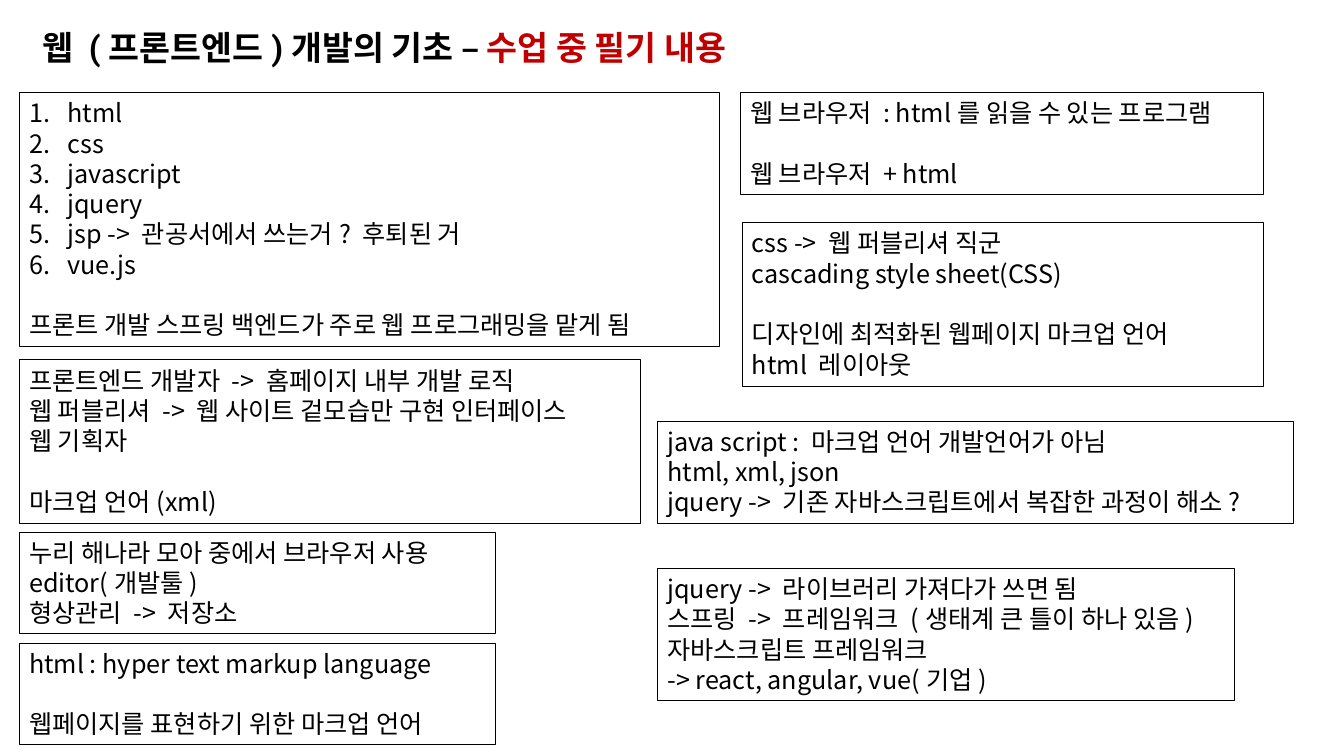
import pptx
import pptx.dml.color
import pptx.enum.text
import pptx.oxml.ns
import pptx.util
from lxml import etree
from pptx.util import Inches, Pt

KOREAN_FONT = "Noto Sans CJK KR"
LATIN_FONT = "Roboto"
BLACK = "000000"
RED = "C00000"
BLOCK_GAP = 21.7  # one line of 18 pt text

# (text, font, colour)
TITLE_RUNS = [
    ("웹 ", KOREAN_FONT, BLACK),
    ("(", LATIN_FONT, BLACK),
    ("프론트엔드", KOREAN_FONT, BLACK),
    (")", LATIN_FONT, BLACK),
    ("개발의 기초 – ", KOREAN_FONT, BLACK),
    ("수업 중 필기 내용", KOREAN_FONT, RED),
]

TECHNOLOGIES = ["html", "css", "javascript", "jquery",
                "jsp -> 관공서에서 쓰는거? 후퇴된 거", "vue.js"]

# (left, top, width, height), blocks of lines set apart by a gap
NOTES = [
    ((0.19, 0.92, 6.95, 2.52), [
        TECHNOLOGIES,
        ["프론트 개발 스프링 백엔드가 주로 웹 프로그래밍을 맡게 됨"]]),
    ((0.19, 3.57, 6.16, 1.62), [
        ["프론트엔드 개발자 -> 홈페이지 내부 개발 로직",
         "웹 퍼블리셔 -> 웹 사이트 겉모습만 구현 인터페이스",
         "웹 기획자"],
        ["마크업 언어(xml)"]]),
    ((0.19, 5.28, 4.72, 1.01), [
        ["누리 해나라 모아 중에서 브라우저 사용",
         "editor(개발툴)",
         "형상관리 -> 저장소"]]),
    ((0.19, 6.38, 4.72, 1.01), [
        ["html : hyper text markup language"],
        ["웹페이지를 표현하기 위한 마크업 언어"]]),
    ((7.34, 0.92, 5.19, 1.01), [
        ["웹 브라우저 : html를 읽을 수 있는 프로그램"],
        ["웹 브라우저 + html"]]),
    ((7.36, 2.21, 5.17, 1.62), [
        ["css -> 웹 퍼블리셔 직군",
         "cascading style sheet(CSS)"],
        ["디자인에 최적화된 웹페이지 마크업 언어",
         "html 레이아웃"]]),
    ((6.52, 4.18, 6.31, 1.01), [
        ["java script : 마크업 언어 개발언어가 아님",
         "html, xml, json",
         "jquery -> 기존 자바스크립트에서 복잡한 과정이 해소?"]]),
    ((6.52, 5.64, 5.72, 1.31), [
        ["jquery -> 라이브러리 가져다가 쓰면 됨",
         "스프링 -> 프레임워크 (생태계 큰 틀이 하나 있음)",
         "자바스크립트 프레임워크",
         "-> react, angular, vue(기업)"]]),
]


def color(hex_value):
    return pptx.dml.color.RGBColor.from_string(hex_value)


def add_run(paragraph, text, size=18, font=KOREAN_FONT, fill=BLACK, bold=False):
    run = paragraph.add_run()
    run.text = text
    run.font.size = Pt(size)
    run.font.bold = bold
    run.font.color.rgb = color(fill)
    run.font.name = font
    east_asian = etree.SubElement(run.font._element, pptx.oxml.ns.qn("a:ea"))
    east_asian.set("typeface", font)


def number_paragraph(paragraph):
    """Give the paragraph an automatic number and a hanging indent."""
    properties = paragraph._p.get_or_add_pPr()
    properties.set("marL", str(Inches(0.38)))
    properties.set("indent", str(-Inches(0.38)))
    number = etree.SubElement(properties, pptx.oxml.ns.qn("a:buAutoNum"))
    number.set("type", "arabicPeriod")


def add_box(slide, place, wrap=True):
    shape = slide.shapes.add_textbox(*map(Inches, place))
    shape.text_frame.word_wrap = wrap
    shape.text_frame.auto_size = pptx.enum.text.MSO_AUTO_SIZE.SHAPE_TO_FIT_TEXT
    return shape


def add_note(slide, place, blocks):
    shape = add_box(slide, place)
    shape.line.color.rgb = color(BLACK)
    shape.line.width = Pt(0.75)
    frame = shape.text_frame
    paragraph = frame.paragraphs[0]
    for block_index, block in enumerate(blocks):
        for line_index, line in enumerate(block):
            if block_index or line_index:
                paragraph = frame.add_paragraph()
            if block is TECHNOLOGIES:
                number_paragraph(paragraph)
            if block_index and line_index == 0:
                paragraph.space_before = Pt(BLOCK_GAP)
            add_run(paragraph, line)


def main():
    presentation = pptx.Presentation()
    presentation.slide_width = Inches(13.33)
    presentation.slide_height = Inches(7.5)
    slide = presentation.slides.add_slide(presentation.slide_layouts[6])

    title = add_box(slide, (0.32, 0.22, 7.31, 0.5), wrap=False)
    for text, font, fill in TITLE_RUNS:
        add_run(title.text_frame.paragraphs[0], text, size=24, font=font,
                fill=fill, bold=True)
    for place, blocks in NOTES:
        add_note(slide, place, blocks)

    presentation.save("out.pptx")


if __name__ == "__main__":
    main()
